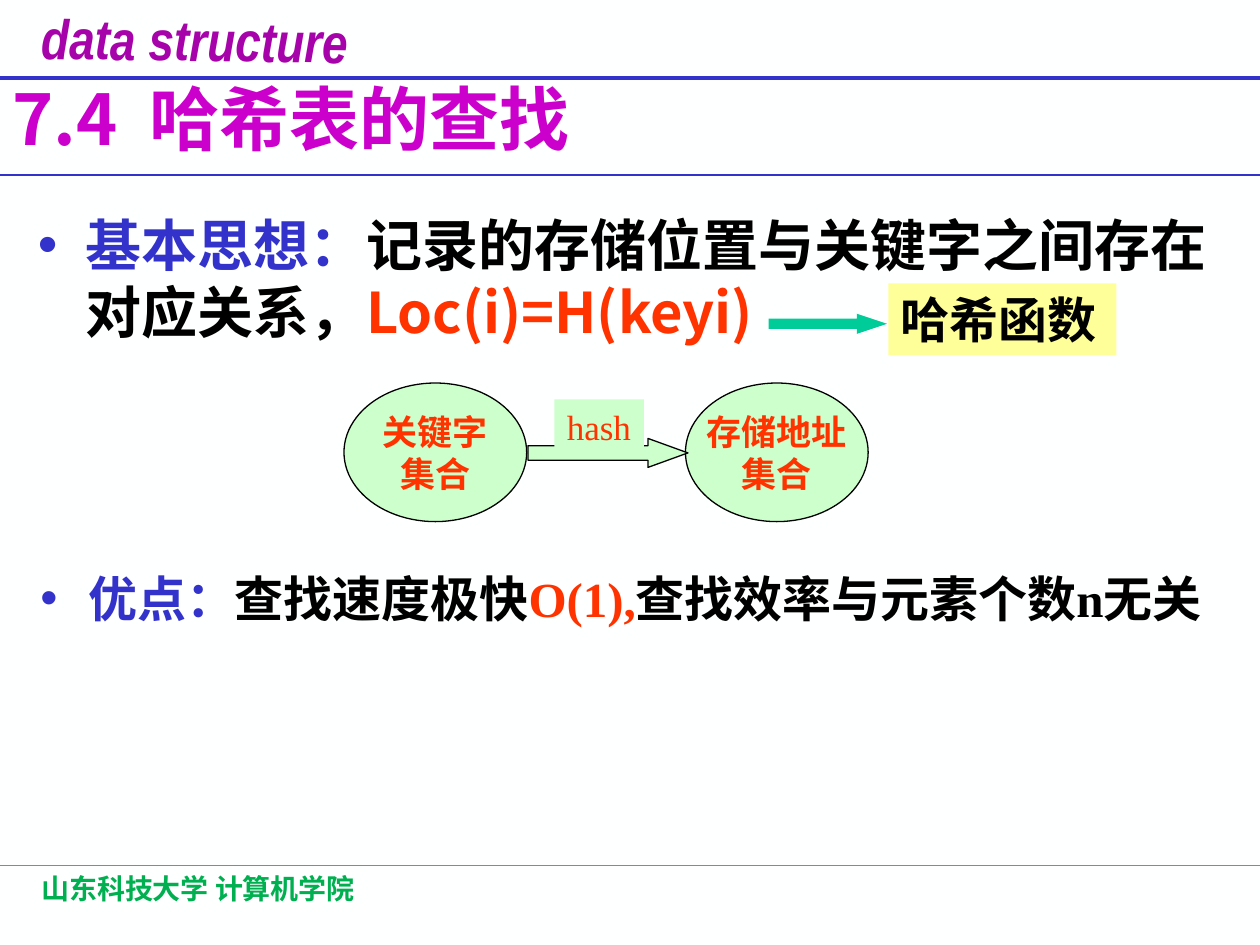
from dataclasses import dataclass

from lxml.etree import SubElement
from pptx import Presentation
from pptx.dml.color import RGBColor
from pptx.enum.shapes import MSO_CONNECTOR, MSO_SHAPE
from pptx.enum.text import MSO_ANCHOR as Anchor, MSO_AUTO_SIZE, PP_ALIGN as Align
from pptx.oxml.ns import qn
from pptx.util import Inches, Pt

COLORS = {
    "paper": "FEFFFF", "blue": "3333CC", "teal": "00CC99", "purple": "A603AB",
    "magenta": "CC00CC", "green": "00B050", "red": "FF3300", "black": "000000",
    "mint": "CCFFCC", "yellow": "FFFF99",
}
CJK = "Noto Sans CJK SC"
TIMES = "Times New Roman"
LINE_HEIGHT = 1.2


@dataclass
class Rule:
    y: float
    color: str
    width: float


@dataclass
class Style:
    size: int
    font: str = TIMES
    bold: bool = True
    italic: bool = False
    align: Align = Align.LEFT
    anchor: Anchor = Anchor.TOP
    wrap: bool = True
    bullet: bool = False


@dataclass
class Figure:
    kind: MSO_SHAPE
    area: tuple[float, float, float, float]
    fill: str
    outlined: bool = False
    head: float | None = None
    lines: tuple[str, ...] = ()
    color: str = "red"
    style: Style | None = None


def rgb(name: str) -> RGBColor:
    return RGBColor.from_string(COLORS[name])


def add_bullet(para) -> None:
    properties = para._p.get_or_add_pPr()
    properties.set("marL", str(Inches(0.38)))
    properties.set("indent", str(Inches(-0.38)))
    color = SubElement(properties, qn("a:buClr"))
    SubElement(color, qn("a:srgbClr"), val=COLORS["blue"])
    SubElement(properties, qn("a:buFont"), typeface="Arial")
    SubElement(properties, qn("a:buChar"), char="•")


def write(box, paragraphs, style: Style) -> None:
    frame = box.text_frame
    frame.auto_size = MSO_AUTO_SIZE.NONE
    frame.word_wrap = style.wrap
    frame.vertical_anchor = style.anchor
    for index, spans in enumerate(paragraphs):
        para = frame.add_paragraph() if index else frame.paragraphs[0]
        if style.bullet:
            add_bullet(para)
        para.alignment = style.align
        para.space_before = Pt(0)
        para.line_spacing = Pt(style.size * LINE_HEIGHT)
        for text, color in spans:
            span = para.add_run()
            span.text = text
            span.font.color.rgb = rgb(color)
            formats = {"size": Pt(style.size), "name": style.font,
                       "bold": style.bold, "italic": style.italic}
            for name, value in formats.items():
                setattr(span.font, name, value)
            SubElement(span._r.get_or_add_rPr(), qn("a:ea"), typeface=CJK)


def place(box, area) -> None:
    for name, value in zip(("left", "top", "width", "height"), area):
        setattr(box, name, Inches(value))


def add_rule(slide, rule: Rule) -> None:
    y = Inches(rule.y)
    line = slide.shapes.add_connector(MSO_CONNECTOR.STRAIGHT, 0, y, Inches(10), y)
    line.line.color.rgb = rgb(rule.color)
    line.line.width = Pt(rule.width)
    SubElement(line._element.spPr, qn("a:effectLst"))


def add_label(slide, area, text: str, color: str, style: Style, rotation: float = 0) -> None:
    box = slide.shapes.add_textbox(*map(Inches, area))
    box.rotation = rotation
    write(box, [[(text, color)]], style)


def add_figure(slide, figure: Figure) -> None:
    shape = slide.shapes.add_shape(figure.kind, *map(Inches, figure.area))
    shape.shadow.inherit = False
    shape.fill.solid()
    shape.fill.fore_color.rgb = rgb(figure.fill)
    if figure.outlined:
        shape.line.color.rgb = rgb("black")
        shape.line.width = Pt(0.75)
    else:
        shape.line.fill.background()
    if figure.head is not None:
        shape.adjustments[1] = figure.head
    if figure.style:
        write(shape, [[(line, figure.color)] for line in figure.lines], figure.style)


def main() -> None:
    deck = Presentation()
    deck.slide_width, deck.slide_height = Inches(10), Inches(7.5)
    slide = deck.slides.add_slide(deck.slide_layouts[3])
    slide.background.fill.solid()
    slide.background.fill.fore_color.rgb = rgb("paper")

    title, idea, benefit = slide.placeholders
    place(title, (0, 0.56, 6.73, 0.75))
    write(title, [[("7.4  哈希表的查找", "magenta")]],
          Style(40, CJK, anchor=Anchor.MIDDLE))
    place(idea, (0.2, 1.62, 9.65, 1.42))
    write(idea, [[("基本思想：", "blue"),
                  ("记录的存储位置与关键字之间存在对应关系，", "black"),
                  ("Loc(i)=H(keyi)", "red")]], Style(32, CJK, bullet=True))
    place(benefit, (0.22, 4.46, 9.78, 0.57))
    write(benefit, [[("优点：", "blue"), ("查找速度极快", "black"), ("O(1),", "red"),
                     ("查找效率与元素个数n无关", "black")]],
          Style(28, wrap=False, bullet=True))

    for rule in (Rule(6.87, "teal", 0.75), Rule(0.62, "blue", 2.25), Rule(1.39, "blue", 1)):
        add_rule(slide, rule)
    add_label(slide, (0.23, -0.01, 2.29, 0.54), "data structure", "purple",
              Style(32, "Arial Narrow", italic=True, wrap=False), 0.8)
    add_label(slide, (0.23, 6.87, 4.14, 0.5), "山东科技大学 计算机学院", "green", Style(16, CJK))

    set_style = Style(20, align=Align.CENTER, anchor=Anchor.MIDDLE, wrap=False)
    sets = [Figure(MSO_SHAPE.OVAL, (left, 3.04, 1.45, 1.1), "mint", outlined=True,
                   lines=(name, "集合"), style=set_style)
            for left, name in ((2.73, "关键字"), (5.44, "存储地址"))]
    figures = [
        Figure(MSO_SHAPE.RIGHT_ARROW, (6.1, 2.49, 0.94, 0.16), "teal", head=1.5),
        Figure(MSO_SHAPE.RECTANGLE, (7.05, 2.25, 1.81, 0.57), "yellow",
               lines=("哈希函数",), color="black", style=Style(28)),
        *sets,
        Figure(MSO_SHAPE.RIGHT_ARROW, (4.19, 3.48, 1.27, 0.23), "mint",
               outlined=True, head=1.38),
        Figure(MSO_SHAPE.RECTANGLE, (4.4, 3.17, 0.71, 0.44), "mint",
               lines=("hash",), style=Style(20, bold=False, wrap=False)),
    ]
    for figure in figures:
        add_figure(slide, figure)
    deck.save("out.pptx")


if __name__ == "__main__":
    main()
